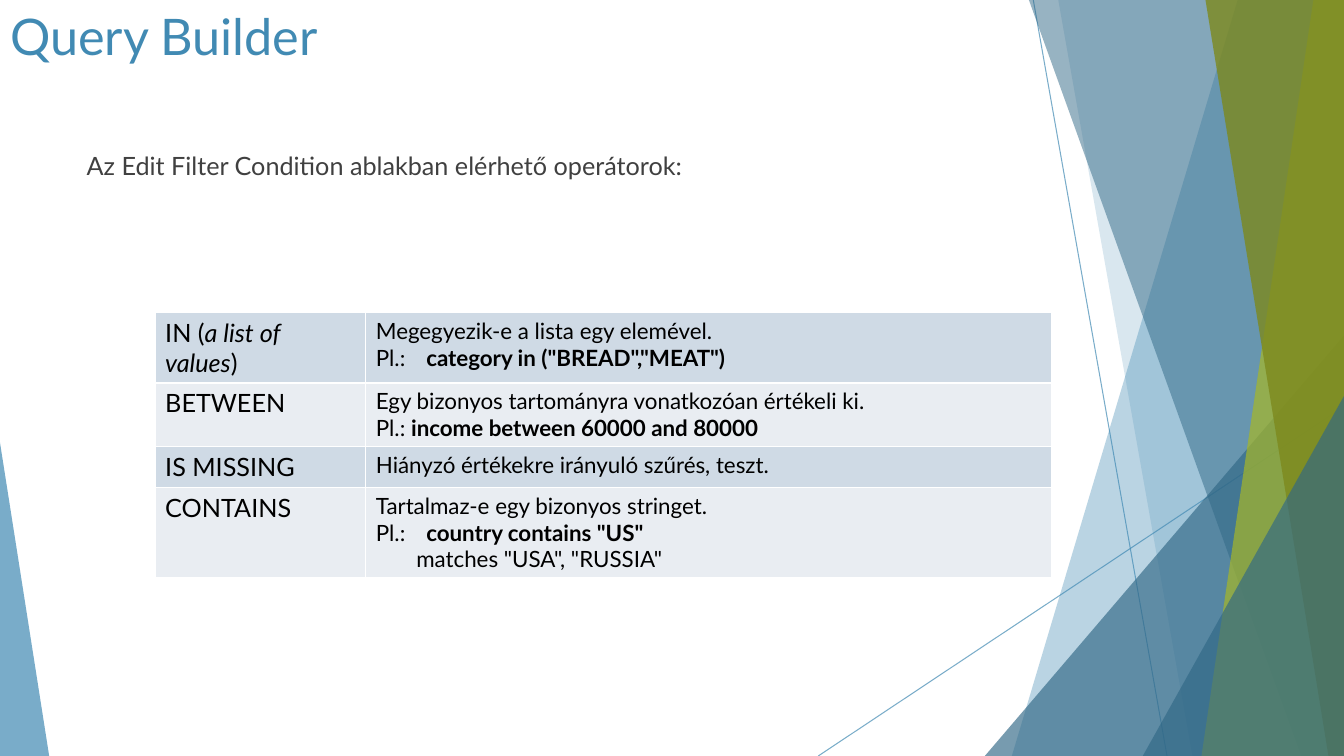
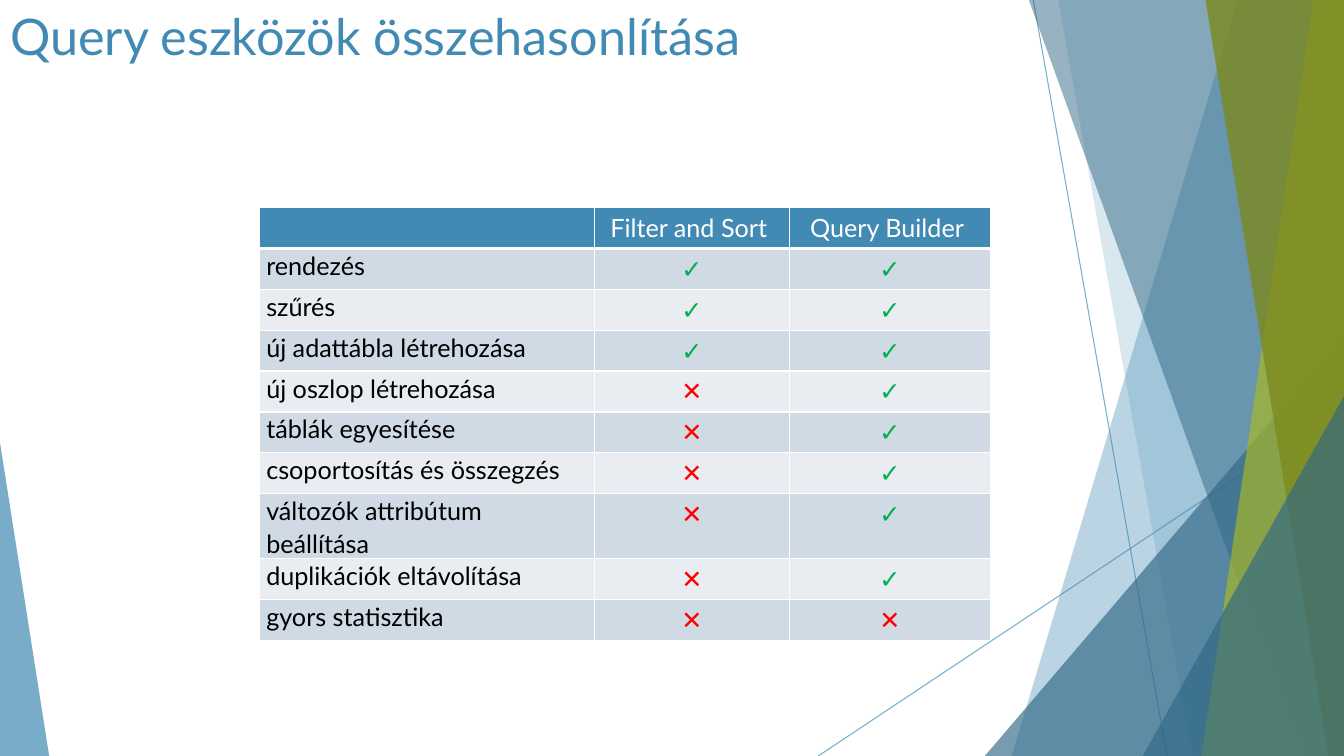
"""Build two slides on query filter operators and a comparison of query tools."""
import dataclasses
import typing

import lxml.etree
import pptx
import pptx.dml.color
import pptx.enum.shapes
import pptx.enum.text
import pptx.oxml.ns
import pptx.shapes.shapetree
import pptx.slide
import pptx.util

Cm = pptx.util.Cm
Pt = pptx.util.Pt
qn = pptx.oxml.ns.qn

COLORS = {
    "blue": "418AB3",
    "deep_blue": "316886",
    "lime": "A6B727",
    "olive": "7D891D",
    "body": "404040",
    "black": "000000",
    "white": "FFFFFF",
    "band_dark": "CFDAE5",
    "band_light": "E9EDF2",
    "yes": "00B050",
    "no": "FF0000",
}
MARKS = {"yes": "✓", "no": "✕"}
FONT = "Lato"
SLIDE_WIDTH, SLIDE_HEIGHT = 33.87, 19.05
ROW_HEIGHT = 1.03
CENTER = pptx.enum.text.PP_ALIGN.CENTER
FRAME_FORMAT = {
    "word_wrap": True,
    "auto_size": pptx.enum.text.MSO_AUTO_SIZE.NONE,
    "vertical_anchor": pptx.enum.text.MSO_ANCHOR.TOP,
}
LABEL_MARGINS = {
    "margin_left": Cm(0.18),
    "margin_right": Cm(0.18),
    "margin_top": Cm(0),
    "margin_bottom": Cm(0),
}


class Ray(typing.NamedTuple):
    start: tuple[float, float]
    end: tuple[float, float]


class Band(typing.NamedTuple):
    top_x: float
    bottom_x: float
    color: str
    opacity: int


class Wedge(typing.NamedTuple):
    left: float
    top: float
    width: float
    apex: float
    color: str
    opacity: int


RAYS = (Ray((26.04, 0), (29.41, SLIDE_HEIGHT)), Ray((SLIDE_WIDTH, 10.24), (20.62, SLIDE_HEIGHT)))
FACETS = (
    Band(31.19, 25.5, "blue", 36),
    Band(26.67, 30.05, "blue", 20),
    Wedge(24.82, 8.46, 9.05, 1, "deep_blue", 66),
    Band(25.93, 32.79, "deep_blue", 50),
    Band(33.1, 30.28, "lime", 70),
    Band(30.38, 33.48, "olive", 80),
    Wedge(28.8, 9.98, 5.07, 1, "deep_blue", 66),
    Wedge(0, 11.15, 1.24, 0, "blue", 70),
)


@dataclasses.dataclass(frozen=True)
class Span:
    text: str
    size: int = 18
    color: str = "black"
    bold: bool = False
    italic: bool = False


@dataclasses.dataclass(frozen=True)
class Line:
    spans: tuple[Span, ...]
    format: dict = dataclasses.field(default_factory=dict)
    tab: float = 0
    indent: float = 0


@dataclasses.dataclass(frozen=True)
class Cell:
    lines: tuple[Line, ...] = ()
    margins: dict = dataclasses.field(default_factory=dict)


@dataclasses.dataclass(frozen=True)
class Grid:
    left: float
    top: float
    columns: tuple[float, ...]
    rows: list[list[Cell]]
    has_header: bool = False


def rgb(name: str) -> pptx.dml.color.RGBColor:
    return pptx.dml.color.RGBColor.from_string(COLORS[name])


def apply_format(target: typing.Any, values: dict) -> None:
    for name, value in values.items():
        setattr(target, name, value)


def set_opacity(element: lxml.etree._Element, percent: int) -> None:
    for color in element.iter(qn("a:srgbClr")):
        lxml.etree.SubElement(color, qn("a:alpha"), val=str(percent * 1000))


def draw_ray(shapes: pptx.shapes.shapetree.GroupShapes, ray: Ray) -> None:
    line = shapes.add_connector(
        pptx.enum.shapes.MSO_CONNECTOR.STRAIGHT, *map(Cm, ray.start + ray.end)
    )
    line.line.color.rgb = rgb("blue")
    line.line.width = Pt(0.75)
    set_opacity(line._element, 70)
    lxml.etree.SubElement(line._element.spPr, qn("a:effectLst"))


def draw_facet(shapes: pptx.shapes.shapetree.GroupShapes, facet: Band | Wedge) -> None:
    if isinstance(facet, Band):
        outline = shapes.build_freeform(Cm(facet.top_x), Cm(0))
        corners = ((SLIDE_WIDTH, 0), (SLIDE_WIDTH, SLIDE_HEIGHT), (facet.bottom_x, SLIDE_HEIGHT))
        outline.add_line_segments([(Cm(x), Cm(y)) for x, y in corners])
        shape = outline.convert_to_shape()
    else:
        shape = shapes.add_shape(
            pptx.enum.shapes.MSO_SHAPE.ISOSCELES_TRIANGLE,
            Cm(facet.left), Cm(facet.top), Cm(facet.width), Cm(SLIDE_HEIGHT - facet.top),
        )
        shape.adjustments[0] = facet.apex
    shape.shadow.inherit = False
    shape.fill.solid()
    shape.fill.fore_color.rgb = rgb(facet.color)
    shape.line.fill.background()
    set_opacity(shape._element, facet.opacity)


def decorate(layout: pptx.slide.SlideLayout) -> None:
    shapes = pptx.shapes.shapetree.GroupShapes(layout.shapes._spTree, layout)
    for ray in RAYS:
        draw_ray(shapes, ray)
    for facet in FACETS:
        draw_facet(shapes, facet)


def write_line(paragraph: typing.Any, line: Line) -> None:
    properties = paragraph._p.get_or_add_pPr()
    properties.set("marL", str(Cm(line.indent)))
    properties.set("indent", "0")
    if line.tab:
        stops = lxml.etree.SubElement(properties, qn("a:tabLst"))
        lxml.etree.SubElement(stops, qn("a:tab"), pos=str(Cm(line.tab)), algn="l")
    apply_format(paragraph, line.format)
    for span in line.spans:
        run = paragraph.add_run()
        run.text = span.text
        apply_format(run.font, {
            "name": FONT, "size": Pt(span.size), "bold": span.bold, "italic": span.italic,
        })
        run.font.color.rgb = rgb(span.color)


def fill_placeholder(
    placeholder: typing.Any, box: tuple[float, float, float, float], span: Span
) -> None:
    apply_format(placeholder, dict(zip(("left", "top", "width", "height"), map(Cm, box))))
    apply_format(placeholder.text_frame, FRAME_FORMAT)
    paragraph = placeholder.text_frame.paragraphs[0]
    lxml.etree.SubElement(paragraph._p.get_or_add_pPr(), qn("a:buNone"))
    start = pptx.enum.text.PP_ALIGN.LEFT
    write_line(paragraph, Line((span,), {"alignment": start, "space_before": Pt(0)}))


def add_titled_slide(
    deck: typing.Any, layout: pptx.slide.SlideLayout, title: str
) -> pptx.slide.Slide:
    slide = deck.slides.add_slide(layout)
    fill_placeholder(slide.shapes.title, (0, 0, 23.88, 3.66), Span(title, 36, "blue"))
    return slide


def set_borders(cell: typing.Any, widths: dict[str, float]) -> None:
    properties = cell._tc.get_or_add_tcPr()
    for side, width in widths.items():
        border = lxml.etree.SubElement(properties, qn(f"a:{side}"), w=str(Pt(width)))
        paint = lxml.etree.SubElement(border, qn("a:solidFill"))
        lxml.etree.SubElement(paint, qn("a:srgbClr"), val=COLORS["white"])


def draw_grid(slide: pptx.slide.Slide, grid: Grid) -> None:
    table = slide.shapes.add_table(
        len(grid.rows), len(grid.columns), Cm(grid.left), Cm(grid.top),
        Cm(sum(grid.columns)), Cm(ROW_HEIGHT * len(grid.rows)),
    ).table
    apply_format(table, {"first_row": grid.has_header, "horz_banding": False})
    for column, width in zip(table.columns, grid.columns):
        column.width = Cm(width)
    for r, row in enumerate(grid.rows):
        table.rows[r].height = Cm(ROW_HEIGHT)
        is_header = grid.has_header and r == 0
        band = "band_light" if (r - grid.has_header) % 2 else "band_dark"
        top_width = 3 if grid.has_header and r == 1 else 1
        for c, content in enumerate(row):
            cell = table.cell(r, c)
            set_borders(cell, {"lnL": 1, "lnR": 1, "lnT": top_width, "lnB": 3 if is_header else 1})
            cell.fill.solid()
            cell.fill.fore_color.rgb = rgb("blue" if is_header else band)
            apply_format(cell, content.margins)
            for i, line in enumerate(content.lines):
                frame = cell.text_frame
                write_line(frame.add_paragraph() if i else frame.paragraphs[0], line)


def operator_row(name: tuple[Span, ...], meaning: str, *examples: Line) -> list[Cell]:
    return [Cell((Line(name),)), Cell((Line((Span(meaning, 16),)), *examples))]


def example(code: str, lead: str = "Pl.:\t", tab: float = 0) -> Line:
    return Line((Span(lead, 16), Span(code, 16, bold=True)), tab=tab)


def centered(text: str, color: str) -> Cell:
    return Cell((Line((Span(text, color=color),), {"alignment": CENTER}),))


def feature_row(feature: str, *support: str) -> list[Cell]:
    label = Cell((Line((Span(feature),), {"line_spacing": 1.07}),), LABEL_MARGINS)
    return [label, *(centered(MARKS[answer], answer) for answer in support)]


OPERATORS = Grid(3.91, 7.87, (5.31, 17.27), [
    operator_row(
        (Span("IN ("), Span("a list of values", italic=True), Span(")")),
        "Megegyezik-e a lista egy elemével.",
        example('category in ("BREAD","MEAT")', tab=1.04),
    ),
    operator_row(
        (Span("BETWEEN"),),
        "Egy bizonyos tartományra vonatkozóan értékeli ki.",
        example("income between 60000 and 80000", lead="Pl.: "),
    ),
    operator_row((Span("IS MISSING"),), "Hiányzó értékekre irányuló szűrés, teszt."),
    operator_row(
        (Span("CONTAINS"),),
        "Tartalmaz-e egy bizonyos stringet.",
        example('country contains "US"', tab=1.19),
        Line((Span('matches "USA", "RUSSIA"', 16),), indent=1.02),
    ),
])
COMPARISON = Grid(6.53, 5.23, (8.46, 4.9, 5.08), [
    [Cell(), centered("Filter and Sort ", "white"), centered("Query Builder ", "white")],
    feature_row("rendezés", "yes", "yes"),
    feature_row("szűrés", "yes", "yes"),
    feature_row("új adattábla létrehozása", "yes", "yes"),
    feature_row("új oszlop létrehozása", "no", "yes"),
    feature_row("táblák egyesítése", "no", "yes"),
    feature_row("csoportosítás és összegzés", "no", "yes"),
    feature_row("változók attribútum beállítása", "no", "yes"),
    feature_row("duplikációk eltávolítása", "no", "yes"),
    feature_row("gyors statisztika", "no", "no"),
], has_header=True)


def main() -> None:
    deck = pptx.Presentation()
    apply_format(deck, {"slide_width": Cm(SLIDE_WIDTH), "slide_height": Cm(SLIDE_HEIGHT)})
    title_and_body, title_only = deck.slide_layouts[1], deck.slide_layouts[5]
    for layout in (title_and_body, title_only):
        decorate(layout)

    operators = add_titled_slide(deck, title_and_body, "Query Builder")
    intro = Span("Az Edit Filter Condition ablakban elérhető operátorok:", color="body")
    fill_placeholder(operators.placeholders[1], (1.93, 3.66, 23.88, 2.08), intro)
    draw_grid(operators, OPERATORS)

    comparison = add_titled_slide(deck, title_only, "Query eszközök összehasonlítása")
    draw_grid(comparison, COMPARISON)
    deck.save("out.pptx")


if __name__ == "__main__":
    main()
